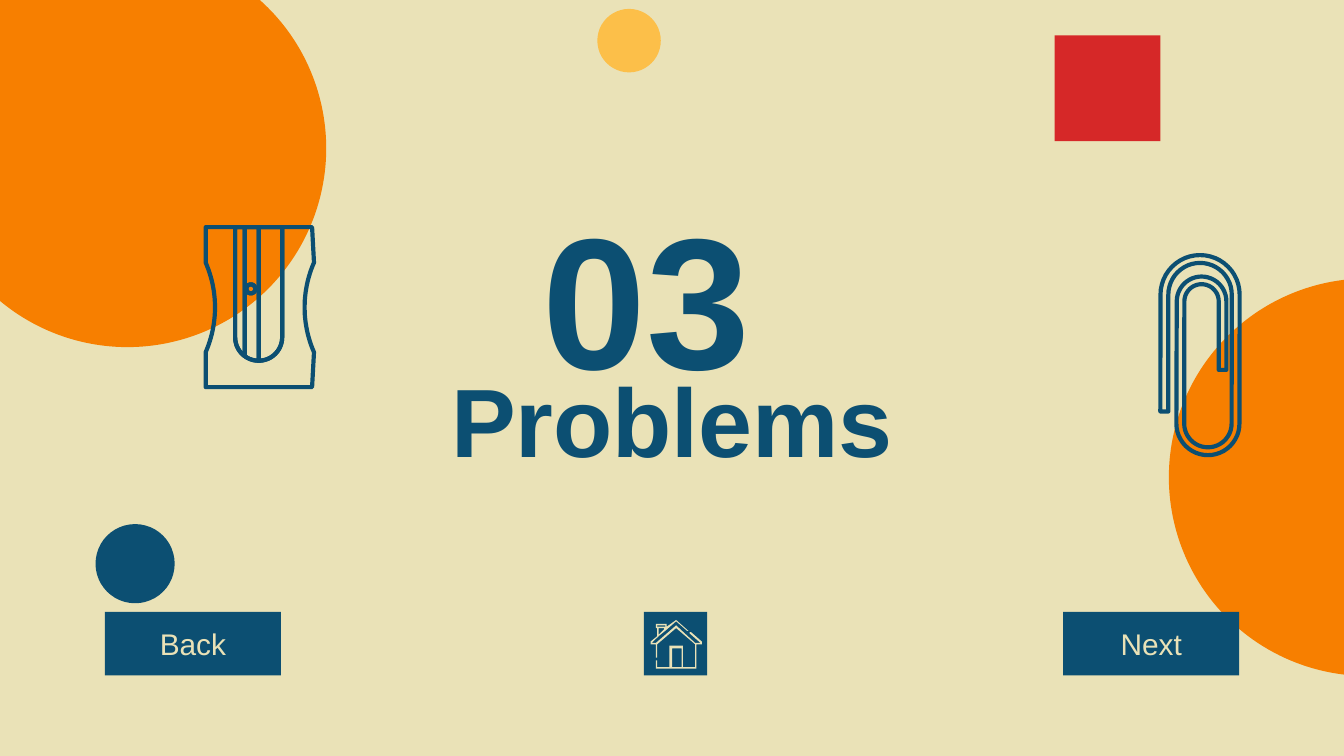
from math import cos, radians, sin

from pptx import Presentation
from pptx.dml.color import RGBColor
from pptx.enum import shapes as kinds, text as txt
from pptx.util import Pt

NAVY, SAND, ORANGE, RED, GOLD = "0C4F72", "EAE2B7", "F77F00", "D62828", "FCBF49"
OVAL, RECT = kinds.MSO_SHAPE.OVAL, kinds.MSO_SHAPE.RECTANGLE


def paint(part, color):
    part.solid()
    part.fore_color.rgb = RGBColor.from_string(color)


def write(shape, words, size, color, bold=False):
    frame = shape.text_frame
    frame.text = words
    look = {"word_wrap": True, "auto_size": txt.MSO_AUTO_SIZE.NONE,
            "vertical_anchor": txt.MSO_ANCHOR.MIDDLE}
    look.update({f"margin_{side}": Pt(7.2) for side in ("left", "top", "right", "bottom")})
    for key, value in look.items():
        setattr(frame, key, value)
    line = frame.paragraphs[0]
    line.alignment = txt.PP_ALIGN.CENTER
    line.space_before = Pt(0)
    run = line.runs[0].font
    for key, value in {"name": "Arial", "size": Pt(size), "bold": bold}.items():
        setattr(run, key, value)
    run.color.rgb = RGBColor.from_string(color)


def block(slide, kind, box, color):
    """Add a plain filled shape without an outline."""
    shape = slide.shapes.add_shape(kind, *map(Pt, box))
    shape.shadow.inherit = False
    paint(shape.fill, color)
    shape.line.fill.background()
    return shape


def arc(x, y, r, start, end, steps=24):
    """Points on a circle, with angles in degrees clockwise from the right."""
    turns = [radians(start + (end - start) * i / steps) for i in range(steps + 1)]
    return [(x + r * cos(t), y + r * sin(t)) for t in turns]


def trace(shapes, left, top, loops, scale=1):
    """Add one freeform of closed loops, measured from left and top."""
    pen = None
    for loop in loops:
        first, *rest = [(Pt(left + x * scale), Pt(top + y * scale)) for x, y in loop]
        if pen is None:
            pen = shapes.build_freeform(*first, scale=1.0)
        else:
            pen.move_to(*first)
        pen.add_line_segments(rest, close=True)
    shape = pen.convert_to_shape()
    shape.shadow.inherit = False
    return shape


def outline(*args):
    shape = trace(*args)
    shape.fill.background()
    paint(shape.line.fill, NAVY)
    shape.line.width = Pt(2.25)


def heading(slide, left, top, width):
    parts = [(slide.shapes.title, "Problems", 52, 92, 60),
             (slide.placeholders[1], "03 ", 100, 0, 111.6)]
    for shape, words, size, drop, high in parts:
        box = {"left": left, "top": top + drop, "width": width, "height": high}
        for key, value in box.items():
            setattr(shape, key, Pt(value))
        write(shape, words, size, NAVY, True)


def sharpener(slide, left, top):
    wide, high, mid = 57, 85.7, 43
    x, y, r = 28.4, 59, 12.6       # round end of the channel
    cut, bend = 20.9, 126.5        # inner edge and the angle where it meets the end
    body = ([(wide, 0), (0, 0)] + arc(-55, mid, 60, -23.6, 23.6)
            + [(0, high), (wide, high)] + arc(wide + 56, mid, 60, 156.4, 203.6))
    slot = [(x - r, 0), (x + r, 0)] + arc(x, y, r, 0, 180)
    edge = [(cut, 0), (x - r, 0)] + arc(x, y, r, 180, bend)
    blade = [(x, 0), (x + r, 0)] + arc(x, y, r, 0, 90)
    face = [(cut, 0), (x, 0)] + arc(x, y, r, 90, bend)
    screw = arc(24.2, 33.1, 2.4, 0, 360)
    group = slide.shapes.add_group_shape()
    for loops in ([body, slot], [edge], [blade], [face, screw], [screw]):
        outline(group.shapes, left, top, loops)


def clip(slide, left, top):
    high, low, mid = 20.2, 89.3, 23.8
    wire = ([(0, 82.8), (4.3, 82.8)] + arc(21.3, high, 17, 180, 360)
            + arc(25.5, low, 12.7, 0, 180) + arc(22.1, mid, 9.2, 180, 360)
            + [(31.3, 60.5), (35.4, 60.5)] + arc(22.1, mid, 13.3, 360, 180)
            + arc(25.5, low, 16.9, 180, 0) + arc(21.3, high, 21.2, 360, 180))
    outline(slide.shapes, left, top, [wire])


def home(slide, left, top, size):
    block(slide, RECT, (left, top, size, size), NAVY)
    cap = [(16, 10), (16, 11), (10, 11), (10, 10)]
    stack = [(15, 12), (15, 13), (11, 17), (11, 12)]
    door = [(28, 27), (28, 41), (21, 41), (21, 27)]
    frame = [(24, 6), (17, 11), (17, 9), (9, 9), (9, 12), (10, 12), (10, 18),
             (5, 22), (5, 24), (9, 24), (9, 34), (10, 34), (10, 24), (24, 12),
             (38, 24), (38, 41), (29, 41), (29, 25), (19, 25), (19, 41),
             (10, 41), (10, 36), (9, 36), (9, 42), (39, 42), (39, 24), (43, 24),
             (43, 22), (35, 15), (34, 15), (34, 16), (42, 23), (38, 23), (24, 10),
             (9, 23), (6, 23), (11, 18), (16, 14), (24, 7), (32, 14), (33, 14)]
    icon = trace(slide.shapes, left, top, [cap, stack, door, frame], size / 47)
    paint(icon.fill, SAND)
    icon.line.fill.background()


def menu(slide, left, top, width, high):
    wide = 94.3
    for x, words in ((left, "Back"), (left + width - wide, "Next")):
        write(block(slide, RECT, (x, top, wide, high), NAVY), words, 16, SAND)
    home(slide, left + 288.7, top, high)


def main():
    deck = Presentation()
    deck.slide_width, deck.slide_height = Pt(720), Pt(405)
    slide = deck.slides.add_slide(deck.slide_layouts[0])
    paint(slide.background.fill, SAND)
    heading(slide, 207.4, 102.2, 305.3)
    for x, y in ((-38.2, -27), (626.2, 149.2)):
        block(slide, OVAL, (x, y, 213, 213), ORANGE)
    sharpener(slide, 110.2, 121.7)
    clip(slide, 621.6, 137.7)
    for kind, x, y, size, color in ((RECT, 565, 19, 56.6, RED),
                                    (OVAL, 51.2, 280.8, 42.4, NAVY),
                                    (OVAL, 320, 4.8, 34, GOLD)):
        block(slide, kind, (x, y, size, size), color)
    menu(slide, 56.2, 327.8, 607.7, 34)
    deck.save("out.pptx")


if __name__ == "__main__":
    main()
